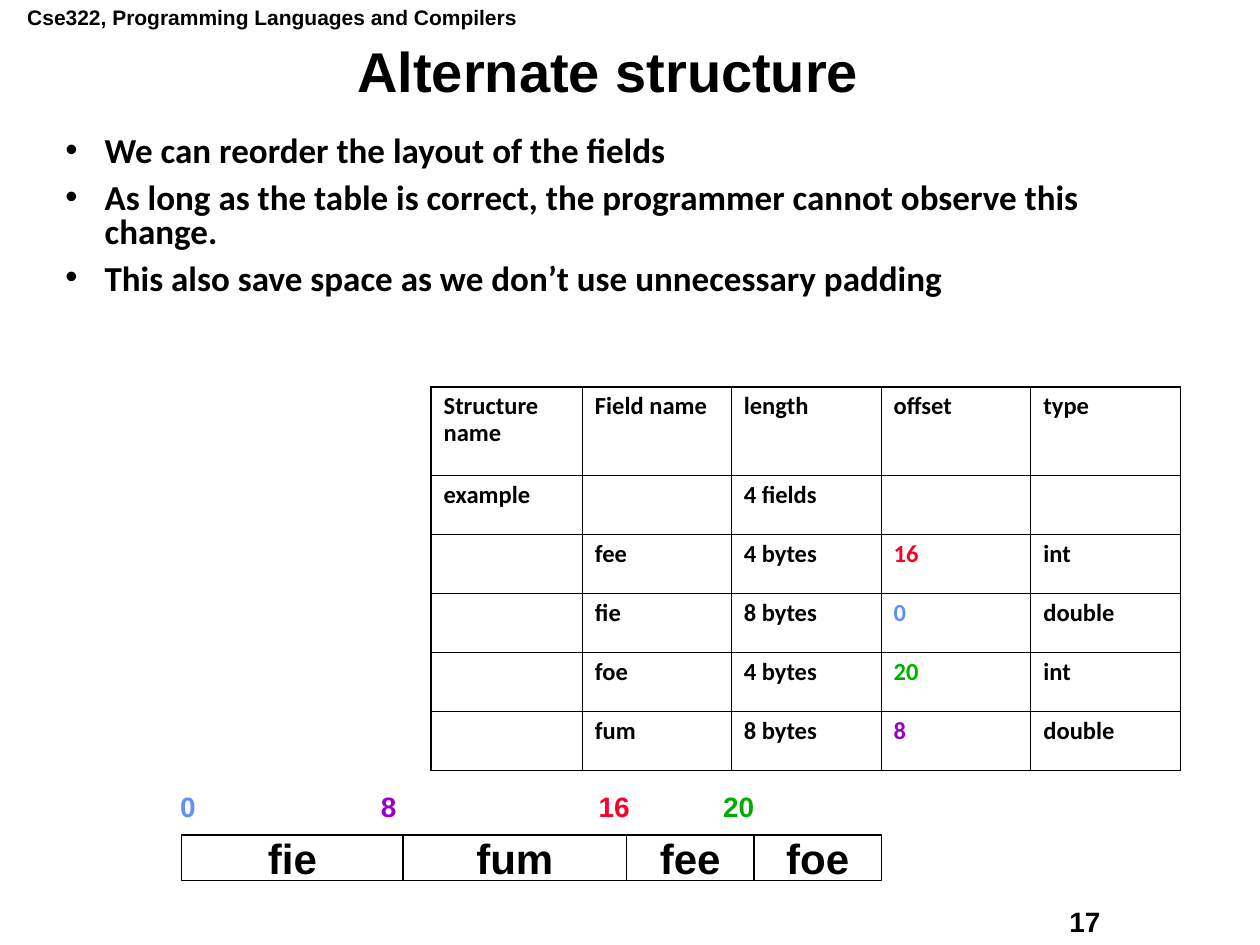
from dataclasses import dataclass

from lxml import etree
from pptx import Presentation
from pptx.dml.color import RGBColor
from pptx.enum.shapes import MSO_SHAPE
from pptx.enum.text import MSO_ANCHOR, MSO_AUTO_SIZE, PP_ALIGN
from pptx.oxml.ns import qn
from pptx.util import Cm, Pt

CENTER = PP_ALIGN.CENTER
LEFT = PP_ALIGN.LEFT
MIDDLE = MSO_ANCHOR.MIDDLE
NO_AUTOFIT = MSO_AUTO_SIZE.NONE
RECTANGLE = MSO_SHAPE.RECTANGLE


@dataclass(frozen=True)
class Theme:
    """Colours, fonts and type sizes of the slide."""

    ink: str = "000000"
    paper: str = "FFFFFF"
    red: str = "FC0128"
    blue: str = "618FFD"
    green: str = "00AE00"
    purple: str = "9900CC"
    heading_font: str = "Arial"
    body_font: str = "Calibri"
    title_size: int = 32
    field_size: int = 24
    body_size: int = 20
    label_size: int = 16
    table_size: int = 14
    header_size: int = 12
    thick: float = 1.08
    thin: float = 0.45


class SlideBuilder:
    """Draws each kind of element on the current slide."""

    def __init__(self, deck, theme):
        self.theme = theme
        self.page = deck.slides.add_slide(deck.slide_layouts[5])

    def style(self, para, size, font=None, color=None):
        para.font.name = font or self.theme.heading_font
        para.font.size = Pt(size)
        para.font.bold = True
        para.font.color.rgb = RGBColor.from_string(color or self.theme.ink)

    def place(self, shape, left, top, width, height):
        shape.left, shape.top = Cm(left), Cm(top)
        shape.width, shape.height = Cm(width), Cm(height)

    def title(self, text, *area):
        box = self.page.shapes.title
        self.place(box, *area)
        frame = box.text_frame
        frame.text = text
        frame.auto_size = NO_AUTOFIT
        frame.vertical_anchor = MIDDLE
        para = frame.paragraphs[0]
        para.alignment = CENTER
        para.line_spacing = 0.9
        self.style(para, self.theme.title_size)

    def text_box(self, area, wrap=True):
        box = self.page.shapes.add_textbox(*(Cm(length) for length in area))
        box.text_frame.word_wrap = wrap
        return box.text_frame

    def label(self, text, size, *area):
        para = self.text_box(area, wrap=False).paragraphs[0]
        para.text = text
        para.alignment = LEFT
        self.style(para, size)

    def bullets(self, texts, *area):
        frame = self.text_box(area)
        for index, text in enumerate(texts):
            para = frame.add_paragraph() if index else frame.paragraphs[0]
            para.text = text
            para.line_spacing = 0.8
            para.space_before = Pt(7.5 if index else 0)
            properties = para._p.get_or_add_pPr()
            properties.set("marL", str(Cm(0.79)))
            properties.set("indent", str(Cm(-0.79)))
            etree.SubElement(properties, qn("a:buFont"), typeface=self.theme.heading_font)
            etree.SubElement(properties, qn("a:buChar"), char="•")
            self.style(para, self.theme.body_size, self.theme.body_font)

    def offsets(self, entries, stops, *area):
        para = self.text_box(area).paragraphs[0]
        tabs = etree.SubElement(para._p.get_or_add_pPr(), qn("a:tabLst"))
        for stop in stops:
            etree.SubElement(tabs, qn("a:tab"), pos=str(Cm(stop)), algn="l")
        self.style(para, self.theme.label_size)
        for index, (text, color) in enumerate(entries):
            span = para.add_run()
            span.text = "\t" + text if index else text
            span.font.color.rgb = RGBColor.from_string(color)

    def field(self, name, *area):
        box = self.page.shapes.add_shape(RECTANGLE, *(Cm(length) for length in area))
        box.shadow.inherit = False
        box.fill.solid()
        box.fill.fore_color.rgb = RGBColor.from_string(self.theme.paper)
        box.line.color.rgb = RGBColor.from_string(self.theme.ink)
        box.line.width = Pt(1)
        frame = box.text_frame
        frame.word_wrap = False
        frame.vertical_anchor = MIDDLE
        para = frame.paragraphs[0]
        para.text = name
        para.alignment = CENTER
        self.style(para, self.theme.field_size)

    def borders(self, cell, outer_sides):
        properties = cell._tc.get_or_add_tcPr()
        for index, side in enumerate("LRTB"):
            points = self.theme.thick if side in outer_sides else self.theme.thin
            line = etree.Element(qn(f"a:ln{side}"), w=str(Pt(points)))
            fill = etree.SubElement(line, qn("a:solidFill"))
            etree.SubElement(fill, qn("a:srgbClr"), val=self.theme.ink)
            properties.insert(index, line)

    def table(self, rows, colors, left, top, widths, heights):
        table = self.page.shapes.add_table(
            len(rows), len(widths), Cm(left), Cm(top), Cm(sum(widths)), Cm(sum(heights))
        ).table
        for column, width in zip(table.columns, widths):
            column.width = Cm(width)
        for r, (texts, height) in enumerate(zip(rows, heights)):
            table.rows[r].height = Cm(height)
            for c, text in enumerate(texts):
                cell = table.cell(r, c)
                cell.fill.background()
                edges = {"L": c == 0, "R": c == len(widths) - 1,
                         "T": r == 0, "B": r == len(rows) - 1}
                self.borders(cell, [side for side, outer in edges.items() if outer])
                para = cell.text_frame.paragraphs[0]
                para.text = text
                para.line_spacing = 0.9
                self.style(para, self.theme.table_size, self.theme.body_font, colors.get(text))


def main():
    """Build the slide on structure layout."""
    theme = Theme()
    deck = Presentation()
    deck.slide_width, deck.slide_height = Cm(25.4), Cm(19.05)
    slide = SlideBuilder(deck, theme)

    slide.label("Cse322, Programming Languages and Compilers", theme.header_size,
                0.3, -0.03, 10.39, 0.76)
    slide.label("17", theme.label_size, 21.31, 18.11, 3.23, 0.91)
    slide.title("Alternate structure", 0.79, 0.79, 22.94, 1.42)
    slide.bullets([
        "We can reorder the layout of the fields",
        "As long as the table is correct, the programmer cannot observe this change.",
        "This also save space as we don’t use unnecessary padding",
    ], 1.07, 2.64, 21.44, 4.52)

    colors = {"0": theme.blue, "8": theme.purple, "16": theme.red, "20": theme.green}
    rows = [
        ["Structure name", "Field name", "length", "offset", "type"],
        ["example", "", "4 fields", "", ""],
        ["", "fee", "4 bytes", "16", "int"],
        ["", "fie", "8 bytes", "0", "double"],
        ["", "foe", "4 bytes", "20", "int"],
        ["", "fum", "8 bytes", "8", "double"],
    ]
    slide.table(rows, colors, 8.69, 7.8, [3.05, 3, 3.02, 3.02, 3.02], [1.78] + [1.19] * 5)

    left = 3.66
    for name, width in [("fie", 4.47), ("fum", 4.5), ("fee", 2.57), ("foe", 2.57)]:
        slide.field(name, left, 16.84, width, 0.91)
        left += width
    slide.offsets(colors.items(), [4.05, 8.44, 10.95], 3.38, 15.8, 14.38, 0.94)
    deck.save("out.pptx")


if __name__ == "__main__":
    main()
